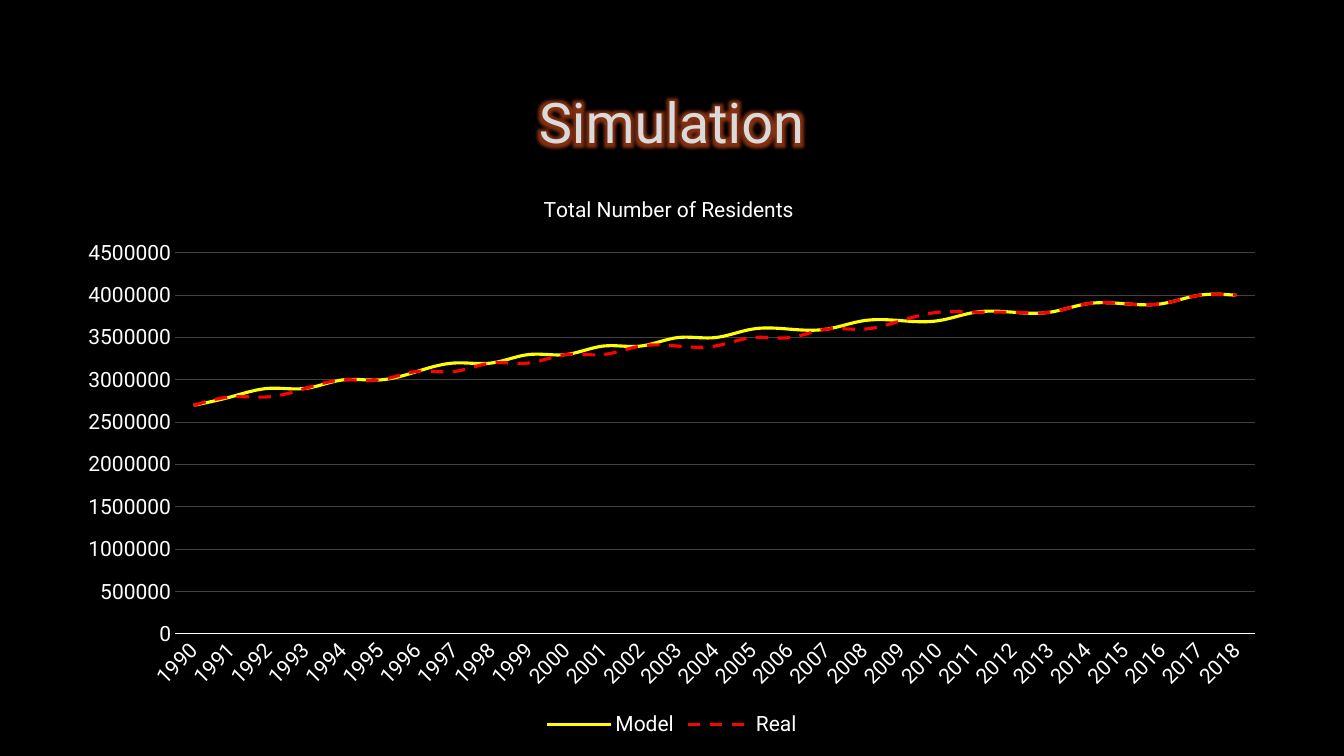
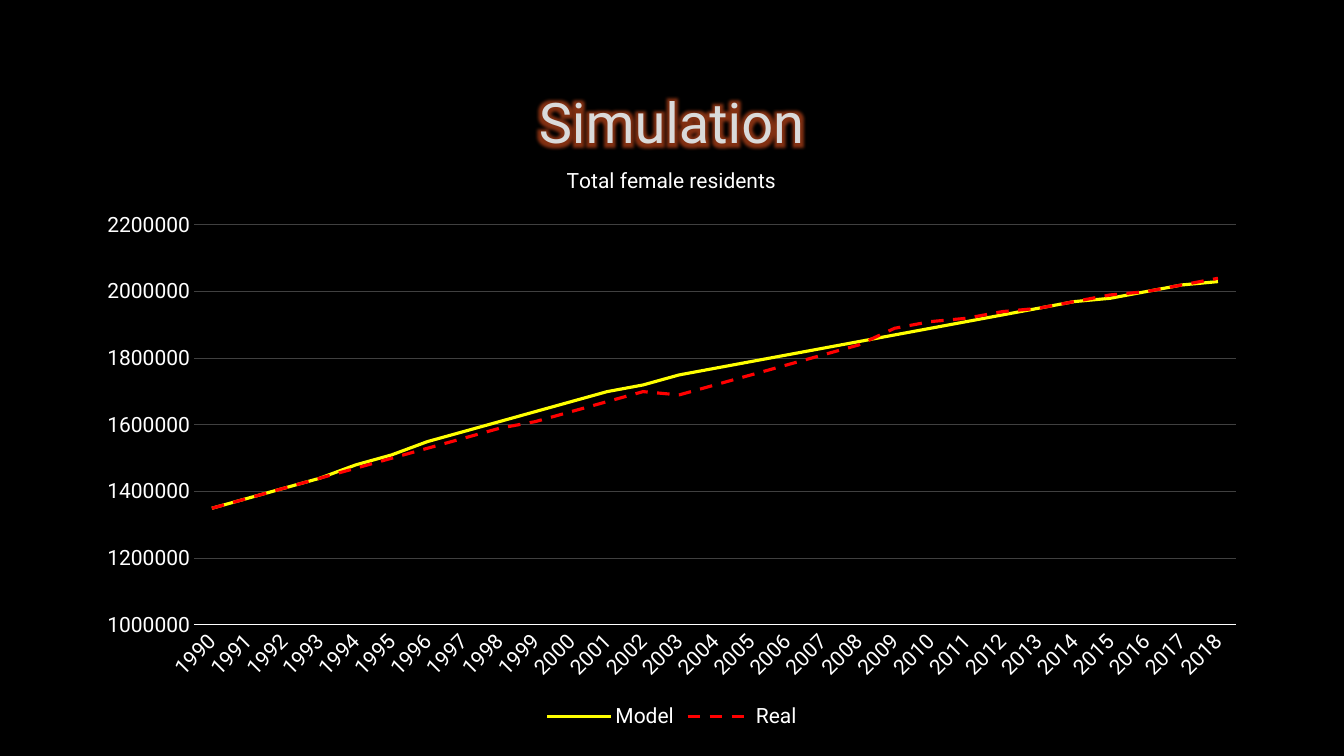
import pptx
import pptx.util
import pptx.chart.data
import pptx.dml.color
import pptx.enum.chart
import pptx.enum.dml
import pptx.enum.text
import pptx.oxml
import pptx.oxml.ns

PX = 914400 / 100.8
FONT = "Roboto"
COLORS = {
    "background": "000000",
    "heading": "DADADA",
    "outline": "404040",
    "glow": "D9501E",
    "text": "FFFFFF",
    "grid": "404040",
    "Model": "FFFF00",
    "Real": "FF0000",
}
HEADING_BOX = (101, 68, 1141, 107)
YEARS = [str(year) for year in range(1990, 2019)]

TOTAL_RESIDENTS = {
    "caption": "Total Number of Residents",
    "box": (64, 174, 1216, 567),
    "plot": (175, 253, 1080, 381),
    "caption_at": (540, 191),
    "scale": (0, 4500000, 500000),
    "smooth_model": True,
    "unit": 100000,
    "counts": {
        "Model": [27, 28, 29, 29, 30, 30, 31, 32, 32, 33,
                  33, 34, 34, 35, 35, 36, 36, 36, 37, 37,
                  37, 38, 38, 38, 39, 39, 39, 40, 40],
        "Real": [27, 28, 28, 29, 30, 30, 31, 31, 32, 32,
                 33, 33, 34, 34, 34, 35, 35, 36, 36, 37,
                 38, 38, 38, 38, 39, 39, 39, 40, 40],
    },
}
FEMALE_RESIDENTS = {
    "caption": "Total female residents",
    "box": (84, 145, 1176, 588),
    "plot": (194, 225, 1042, 400),
    "caption_at": (563, 162),
    "scale": (1000000, 2200000, 200000),
    "smooth_model": False,
    "unit": 10000,
    "counts": {
        "Model": [135, 138, 141, 144, 148, 151, 155, 158, 161, 164,
                  167, 170, 172, 175, 177, 179, 181, 183, 185, 187,
                  189, 191, 193, 195, 197, 198, 200, 202, 203],
        "Real": [135, 138, 141, 144, 147, 150, 153, 156, 159, 161,
                 164, 167, 170, 169, 172, 175, 178, 181, 184, 189,
                 191, 192, 194, 195, 197, 199, 200, 202, 204],
    },
}


def emu(px):
    return pptx.util.Emu(round(px * PX))


def rgb(role):
    return pptx.dml.color.RGBColor.from_string(COLORS[role])


def style_font(font, size, role):
    font.name = FONT
    font.size = pptx.util.Pt(size)
    font.bold = False
    font.color.rgb = rgb(role)


def style_line(line, role, width):
    line.color.rgb = rgb(role)
    line.width = pptx.util.Pt(width)


def drawing_xml(markup):
    namespace = pptx.oxml.ns.nsdecls("a")
    return pptx.oxml.parse_xml(markup.replace(">", f" {namespace}>", 1))


def add_heading(slide, text, box):
    heading = slide.shapes.title
    heading.left, heading.top, heading.width, heading.height = map(emu, box)
    frame = heading.text_frame
    frame.text = text
    frame.vertical_anchor = pptx.enum.text.MSO_ANCHOR.MIDDLE
    paragraph = frame.paragraphs[0]
    paragraph.alignment = pptx.enum.text.PP_ALIGN.CENTER
    style_font(paragraph.font, 40, "heading")
    letters = paragraph.runs[0].font
    letters.color.rgb = rgb("heading")
    properties = paragraph.runs[0]._r.get_or_add_rPr()
    properties.insert(0, drawing_xml(
        f'<a:ln w="9525"><a:solidFill><a:srgbClr val="{COLORS["outline"]}">'
        '<a:alpha val="10000"/></a:srgbClr></a:solidFill></a:ln>'))
    properties.append(drawing_xml(
        f'<a:effectLst><a:glow rad="127000"><a:srgbClr val="{COLORS["glow"]}">'
        '<a:alpha val="60000"/></a:srgbClr></a:glow></a:effectLst>'))


def manual_layout(box, position, size=None):
    left, top, width, height = box
    fractions = {
        "x": (position[0] - left) / width,
        "y": (position[1] - top) / height,
    }
    target = ""
    if size:
        target = '<c:layoutTarget val="inner"/>'
        fractions.update(w=size[0] / width, h=size[1] / height)
    modes = '<c:xMode val="edge"/><c:yMode val="edge"/>'
    values = "".join(f'<c:{key} val="{value:.4f}"/>'
                     for key, value in fractions.items())
    return pptx.oxml.parse_xml(
        f'<c:layout {pptx.oxml.ns.nsdecls("c")}><c:manualLayout>'
        f"{target}{modes}{values}</c:manualLayout></c:layout>")


def add_caption(chart, residents):
    chart.has_title = True
    caption = chart.chart_title
    caption.include_in_layout = False
    caption.text_frame.text = residents["caption"]
    style_font(caption.text_frame.paragraphs[0].font, 15, "text")
    element = caption._element
    for automatic in element.xpath("c:layout"):
        element.remove(automatic)
    element.xpath("c:tx")[0].addnext(
        manual_layout(residents["box"], residents["caption_at"]))


def style_axes(chart, scale):
    years, counts = chart.category_axis, chart.value_axis
    for axis in (years, counts):
        axis.major_tick_mark = pptx.enum.chart.XL_TICK_MARK.NONE
        axis.minor_tick_mark = pptx.enum.chart.XL_TICK_MARK.NONE
        style_font(axis.tick_labels.font, 15, "text")
    style_line(years.format.line, "text", 0.75)
    slant = years._element.xpath("c:txPr/a:bodyPr")[0]
    slant.set("rot", "-2700000")
    slant.set("vert", "horz")
    counts.minimum_scale, counts.maximum_scale, counts.major_unit = scale
    counts.format.line.fill.background()
    counts.has_major_gridlines = True
    style_line(counts.major_gridlines.format.line, "grid", 0.75)


def add_residents_chart(slide, residents):
    data = pptx.chart.data.CategoryChartData(number_format="0")
    data.categories = YEARS
    for name, counts in residents["counts"].items():
        data.add_series(name, [count * residents["unit"] for count in counts])
    chart = slide.shapes.add_chart(
        pptx.enum.chart.XL_CHART_TYPE.LINE,
        *map(emu, residents["box"]), data).chart
    style_font(chart.font, 10, "text")
    add_caption(chart, residents)
    style_axes(chart, residents["scale"])

    plot = chart.plots[0]
    plot.vary_by_categories = False
    for series in plot.series:
        style_line(series.format.line, series.name, 2.25)
        series.marker.style = pptx.enum.chart.XL_MARKER_STYLE.NONE
        series.smooth = series.name == "Model" and residents["smooth_model"]
        if series.name == "Real":
            series.format.line.dash_style = pptx.enum.dml.MSO_LINE.DASH

    chart.has_legend = True
    chart.legend.position = pptx.enum.chart.XL_LEGEND_POSITION.BOTTOM
    chart.legend.include_in_layout = False
    style_font(chart.legend.font, 15, "text")

    area = chart._chartSpace.xpath("c:chart/c:plotArea")[0]
    for automatic in area.xpath("c:layout"):
        area.remove(automatic)
    plot_box = residents["plot"]
    area.insert(0, manual_layout(residents["box"], plot_box[:2], plot_box[2:]))


def add_simulation_slide(deck, residents):
    slide = deck.slides.add_slide(deck.slide_layouts[5])
    add_heading(slide, "Simulation", HEADING_BOX)
    add_residents_chart(slide, residents)


def main():
    deck = pptx.Presentation()
    deck.slide_width, deck.slide_height = emu(1344), emu(756)
    backdrop = deck.slide_master.background.fill
    backdrop.solid()
    backdrop.fore_color.rgb = rgb("background")
    for residents in (TOTAL_RESIDENTS, FEMALE_RESIDENTS):
        add_simulation_slide(deck, residents)
    deck.save("out.pptx")


if __name__ == "__main__":
    main()
